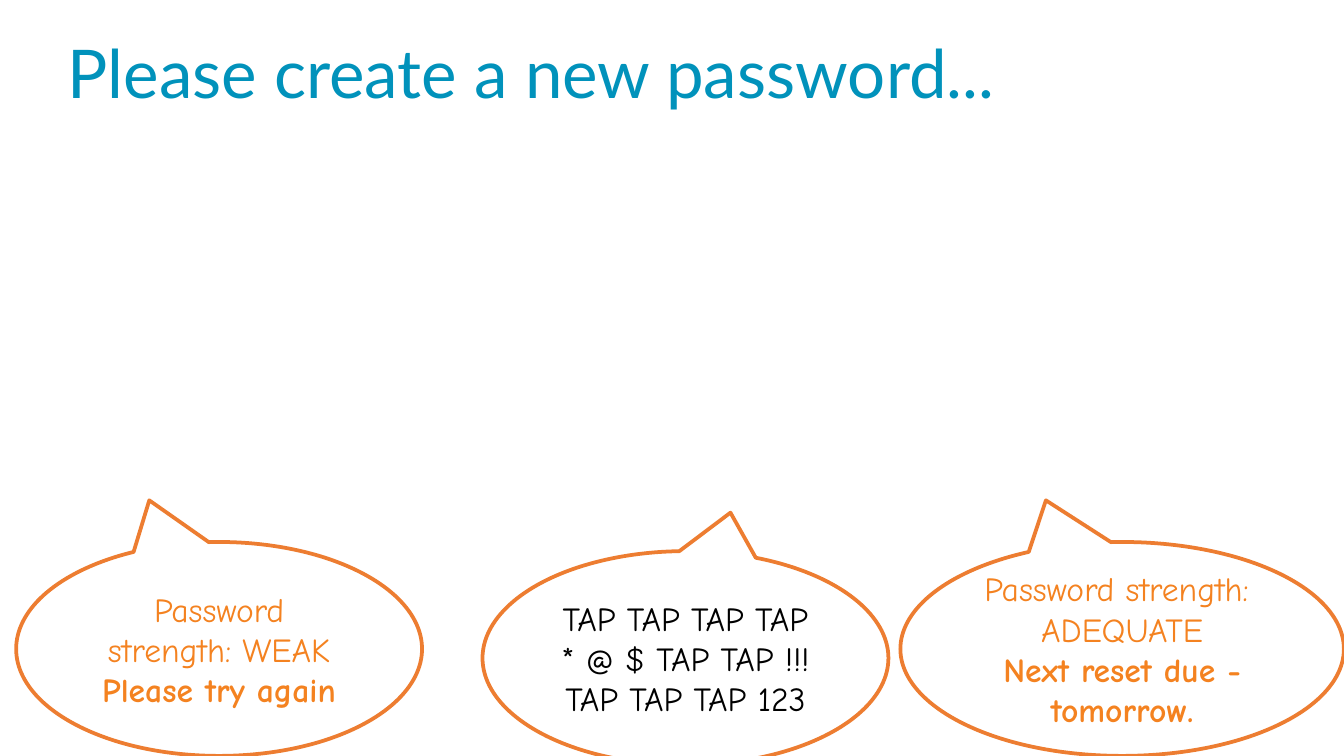
from pptx import Presentation
from pptx.dml.color import RGBColor
from pptx.enum.shapes import MSO_SHAPE
from pptx.enum.text import MSO_ANCHOR, PP_ALIGN
from pptx.util import Inches, Pt

W = Inches(10)
H = W * 9 // 16
COLORS = {"title": "0192BB", "outline": "ED7D31", "system": "F48220",
          "typing": "000000", "fill": "FFFFFF"}
TITLE_BOX = (4.05, 3, 86.2, 14.2)
LEFT_TAIL, RIGHT_TAIL = (-17.2, -69.5), (11.1, -68)
CALLOUTS = [
    ((1.2, 71.7, 30.2, 28.3), LEFT_TAIL, "system",
     [("Password strength: WEAK", False), ("Please try again", True)]),
    ((35.9, 72.9, 30.2, 28.3), RIGHT_TAIL, "typing",
     [("TAP TAP TAP TAP * @ $ TAP TAP !!! TAP TAP TAP 123", False)]),
    ((67, 71.7, 33, 28.3), LEFT_TAIL, "system",
     [("Password strength: ", False), ("ADEQUATE", False),
      ("Next reset due - tomorrow.", True)]),
]


def rgb(name):
    """Return a palette colour."""
    return RGBColor.from_string(COLORS[name])


def place(box):
    """Turn percentages of the slide into left, top, width and height."""
    x, y, w, h = (share / 100 for share in box)
    return round(x * W), round(y * H), round(w * W), round(h * H)


def style(p, font, size, color, bold=False):
    """Format the runs of a paragraph."""
    for r in p.runs:
        r.font.name, r.font.size, r.font.bold = font, Pt(size), bold
        r.font.color.rgb = rgb(color)


def add_title(s, box, text):
    """Add the slide heading inside the box."""
    tf = s.shapes.add_textbox(*place(box)).text_frame
    tf.word_wrap = True
    tf.vertical_anchor = MSO_ANCHOR.MIDDLE
    tf.margin_left = tf.margin_right = tf.margin_top = tf.margin_bottom = Inches(0.1)
    tf.text = text
    p = tf.paragraphs[0]
    p.line_spacing = 0.9
    style(p, "Lato", 36, "title")


def add_callout(s, box, tail, color, lines):
    """Add a speech bubble whose tail is a percentage of its box from the centre."""
    sp = s.shapes.add_shape(MSO_SHAPE.OVAL_CALLOUT, *place(box))
    sp.shadow.inherit = False
    sp.adjustments[0], sp.adjustments[1] = (share / 100 for share in tail)
    sp.fill.solid()
    sp.fill.fore_color.rgb = rgb("fill")
    sp.line.color.rgb = rgb("outline")
    sp.line.width = Pt(2)
    tf = sp.text_frame
    tf.word_wrap = True
    tf.vertical_anchor = MSO_ANCHOR.MIDDLE
    tf.text = "\n".join(text for text, _ in lines)
    for p, (_, bold) in zip(tf.paragraphs, lines):
        p.alignment = PP_ALIGN.CENTER
        style(p, "Comic Neue", 18, color, bold)


def main():
    """Build and save the slide."""
    prs = Presentation()
    prs.slide_width, prs.slide_height = W, H
    s = prs.slides.add_slide(prs.slide_layouts[6])
    add_title(s, TITLE_BOX, "Please create a new password...")
    for callout in CALLOUTS:
        add_callout(s, *callout)
    prs.save("out.pptx")


if __name__ == "__main__":
    main()
